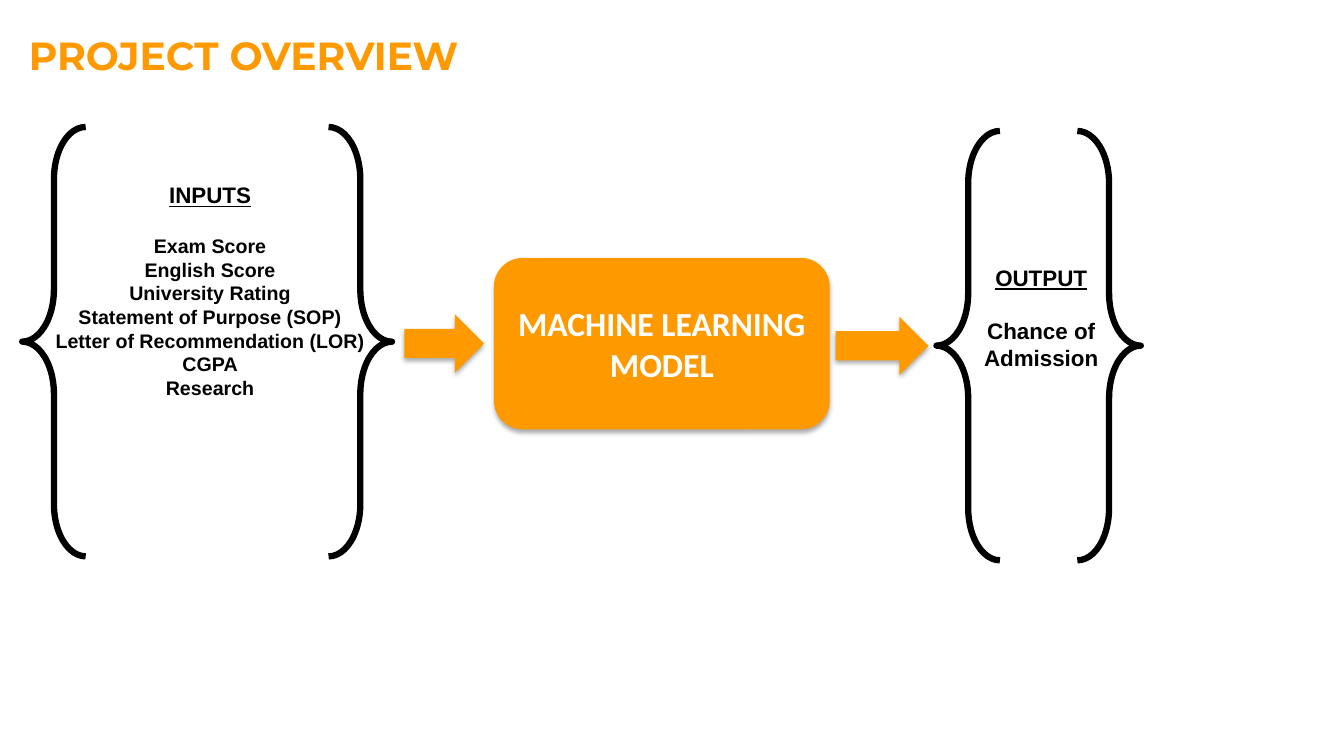
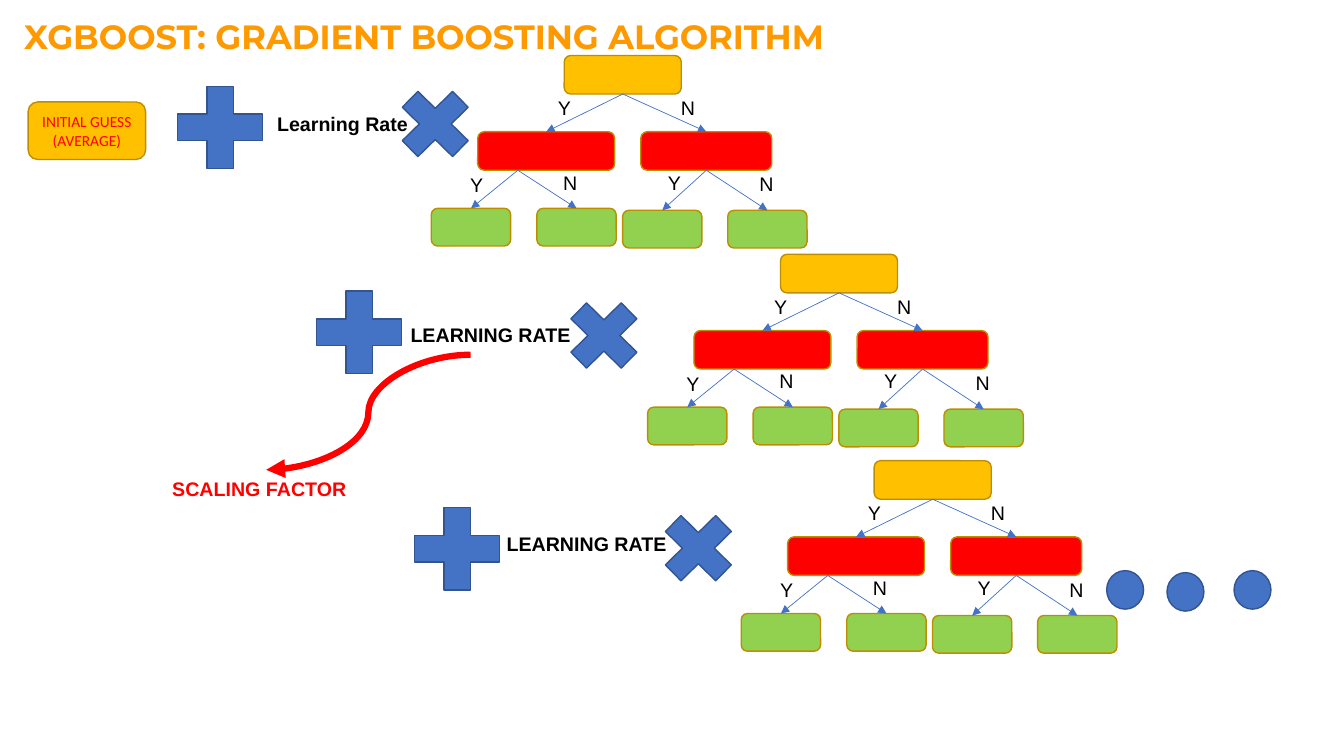
from lxml.etree import SubElement
from pptx import Presentation
from pptx.dml.color import RGBColor
from pptx.enum.shapes import MSO_CONNECTOR as LINK, MSO_SHAPE as SHAPE
from pptx.enum.text import MSO_ANCHOR as ANCHOR, PP_ALIGN as ALIGN
from pptx.oxml.ns import qn
from pptx.util import Cm, Pt

COLOURS = {key: RGBColor.from_string(value) for key, value in {
    "orange": "FF9900", "amber": "FFC000", "gold": "BD8E00", "red": "FF0000",
    "green": "92D050", "blue": "4472C4", "navy": "325491",
    "black": "000000", "white": "FFFFFF",
}.items()}


def add_block(page, kind, place, fill=None, line=None, width=1):
    """Add a preset shape, or a text box when kind is None; place is in cm."""
    place = [Cm(length) for length in place]
    if kind is None:
        box = page.shapes.add_textbox(*place)
    else:
        box = page.shapes.add_shape(kind, *place)
        box.shadow.inherit = False
        for part, colour in ((box.fill, fill), (box.line.fill, line)):
            if colour:
                part.solid()
                part.fore_color.rgb = COLOURS[colour]
            else:
                part.background()
        if line:
            box.line.width = Pt(width)
        box.text_frame.vertical_anchor = ANCHOR.MIDDLE
    box.text_frame.word_wrap = True
    return box


def write(box, lines, size, colour="black", font="Arial", bold=True,
          underline=False, align=ALIGN.CENTER):
    """Add each line as a paragraph, starting with the empty first one."""
    frame = box.text_frame
    for line in lines:
        para = frame.paragraphs[0] if not frame.text else frame.add_paragraph()
        para.alignment = align
        span = para.add_run()
        span.text = line
        span.font.size = Pt(size)
        span.font.name = font
        span.font.bold = bold
        span.font.underline = underline
        span.font.color.rgb = COLOURS[colour]


deck = Presentation()
deck.slide_width, deck.slide_height = Cm(33.87), Cm(19.05)

# Titles
pages = []
for title, top, width, size, inset in (
    ("PROJECT OVERVIEW", 0.66, 17.78, 28, 0.25),
    ("XGBOOST: GRADIENT BOOSTING ALGORITHM", 0.28, 22.86, 24, 0.13),
):
    page = deck.slides.add_slide(deck.slide_layouts[6])
    box = add_block(page, None, (0.48, top, width, 1.27))
    box.text_frame.margin_left = Cm(inset)
    box.text_frame.margin_top = Cm(0.13)
    write(box, [title], size, "orange", "Montserrat", align=ALIGN.LEFT)
    pages.append(page)
overview, boosting = pages

# Overview: the model and the arrows into and out of it
model = add_block(overview, SHAPE.ROUNDED_RECTANGLE,
                  (12.45, 6.5, 8.46, 4.32), "orange")
write(model, ["MACHINE LEARNING MODEL"], 24, "white", "Calibri")
arrows = [add_block(overview, SHAPE.RIGHT_ARROW, place, "orange")
          for place in ((10.19, 7.92, 2.01, 1.47), (21.06, 7.98, 2.34, 1.47))]
for box in [model, *arrows]:
    effects = box._element.spPr.find(qn("a:effectLst"))
    shadow = SubElement(effects, qn("a:outerShdw"), blurRad=str(Pt(3.5)),
                        dist=str(Pt(2.2)), dir="5400000", rotWithShape="0")
    tint = SubElement(shadow, qn("a:srgbClr"), val=str(COLOURS["black"]))
    SubElement(tint, qn("a:alpha"), val="32000")

# Overview: inputs and output, each between two braces
inputs = ["Exam Score", "English Score", "University Rating",
          "Statement of Purpose (SOP)", "Letter of Recommendation (LOR)",
          "CGPA", "Research"]
for heading, lines, size, place, brace_top, brace_lefts in (
    ("INPUTS", inputs, 14, (0.94, 4.45, 8.71, 6.5), 3.2, (0.56, 8.28)),
    ("OUTPUT", ["Chance of Admission"], 16, (23.88, 6.53, 4.72, 3), 3.3,
     (23.6, 27.15)),
):
    box = add_block(overview, None, place)
    write(box, [heading], 16, underline=True)
    box.text_frame.paragraphs[0].space_after = Pt(18.5)
    write(box, lines, size)
    for left, turn in zip(brace_lefts, (0, 180)):
        brace = add_block(overview, SHAPE.LEFT_BRACE,
                          (left, brace_top, 1.6, 10.82), None, "black", 4.5)
        brace.adjustments[0] = 0.824
        brace.rotation = turn

# Boosting: one decision tree per round, placed from its root's corner
links = []
for left, top in ((14.22, 1.4), (19.67, 6.41), (22.03, 11.61)):
    root, left_test, right_test, *leaves = [
        add_block(boosting, SHAPE.ROUNDED_RECTANGLE,
                  (left + x, top + y, width, height), fill, "gold")
        for x, y, width, height, fill in (
            (0, 0, 2.95, 0.97, "amber"),
            (-2.18, 1.92, 3.45, 0.97, "red"),
            (1.93, 1.92, 3.3, 0.97, "red"),
            (-3.35, 3.85, 2, 0.95, "green"),
            (-0.69, 3.85, 2, 0.95, "green"),
            (1.47, 3.9, 2, 0.95, "green"),
            (4.12, 3.9, 2, 0.95, "green"),
        )
    ]
    for parent, children in ((root, (left_test, right_test)),
                             (left_test, leaves[:2]),
                             (right_test, leaves[2:])):
        for child in children:
            # The left test branches off its centre, so it stays unjoined
            link = boosting.shapes.add_connector(
                LINK.STRAIGHT, Cm(left - 1.17), Cm(top + 2.89), 0, 0)
            if parent is not left_test:
                link.begin_connect(parent, 2)
            link.end_connect(child, 0)
            links.append((link, "blue", 0.5))
    for letter, x, y in (("Y", -0.41, 0.89), ("N", 2.69, 0.89),
                         ("Y", -2.62, 2.84), ("N", -0.28, 2.77),
                         ("Y", 2.36, 2.77), ("N", 4.67, 2.82)):
        box = add_block(boosting, None, (left + x, top + y, 0.91, 1.02))
        write(box, [letter], 14, bold=False, align=ALIGN.LEFT)

# Boosting: initial guess, then plus, learning rate and times for each round
guess = add_block(boosting, SHAPE.ROUNDED_RECTANGLE,
                  (0.71, 2.57, 2.96, 1.45), "amber", "gold")
write(guess, ["INITIAL GUESS (AVERAGE)"], 11, "red", "Calibri", bold=False)
for rate, plus, label, times in (
    ("Learning Rate", (4.09, 1.8), (6.02, 2.69), (9.75, 1.93)),
    ("LEARNING RATE", (7.59, 6.96), (9.75, 8), (14, 7.26)),
    ("LEARNING RATE", (10.06, 12.42), (12.17, 13.28), (16.38, 12.62)),
):
    add_block(boosting, SHAPE.MATH_PLUS, (*plus, 2.92, 2.82), "blue", "navy")
    write(add_block(boosting, None, (*label, 5.23, 0.86)), [rate], 14)
    add_block(boosting, SHAPE.MATH_MULTIPLY, (*times, 2.44, 2.39),
              "blue", "navy")

# Boosting: dots for further rounds
for left, top in ((27.89, 14.38), (29.41, 14.43), (31.1, 14.38)):
    add_block(boosting, SHAPE.OVAL, (left, top, 0.93, 0.97), "blue", "navy")

# Boosting: what the learning rate stands for
box = add_block(boosting, None, (4.09, 11.89, 5.11, 1.02))
write(box, ["SCALING FACTOR"], 14, "red", align=ALIGN.LEFT)
curve = boosting.shapes.add_connector(
    LINK.CURVE, Cm(11.86), Cm(8.94), Cm(6.71), Cm(11.84))
links.append((curve, "red", 4.5))

for link, colour, width in links:
    link.line.color.rgb = COLOURS[colour]
    link.line.width = Pt(width)
    SubElement(link.get_or_add_ln(), qn("a:tailEnd"), type="triangle")
    SubElement(link._element.spPr, qn("a:effectLst"))

deck.save("out.pptx")
